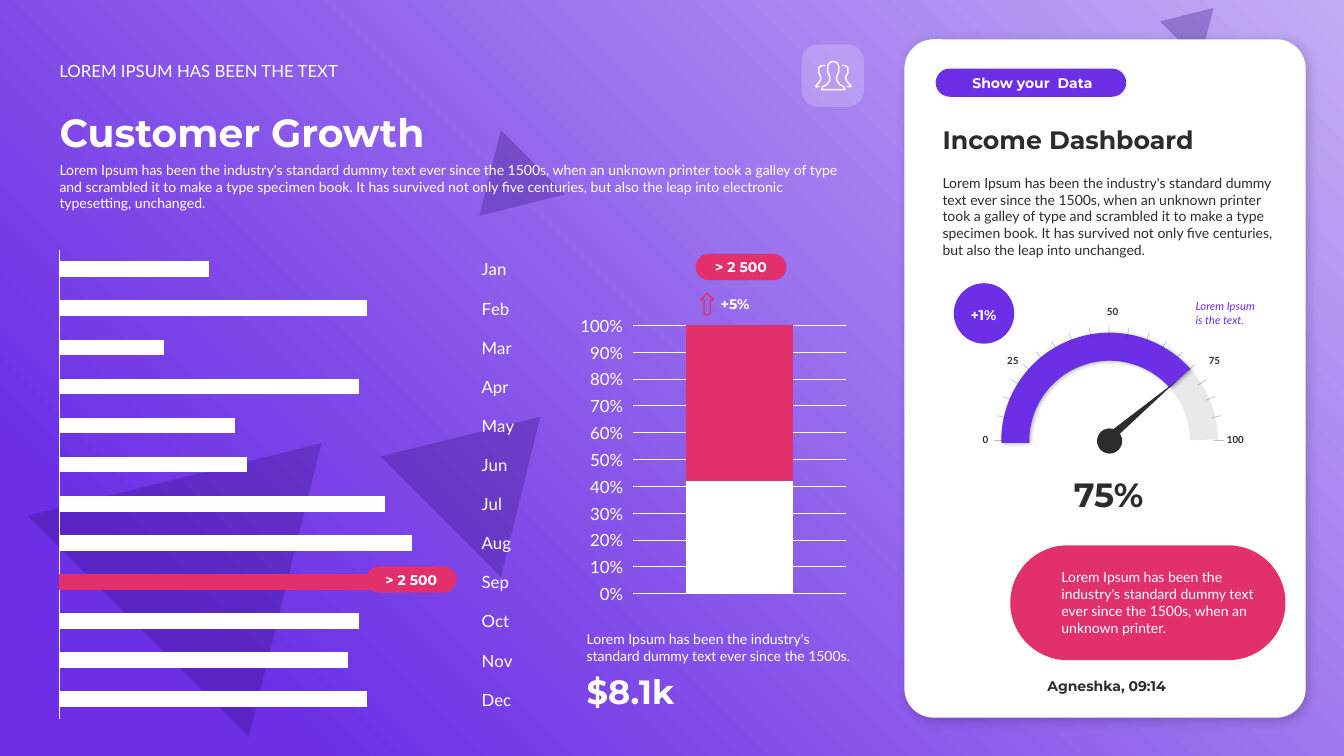
"""Build the customer growth and income dashboard slide."""
from dataclasses import dataclass
from math import cos, radians, sin
from typing import Optional

from lxml import etree
from pptx import Presentation
from pptx import util as u
from pptx.chart import data
from pptx.dml.color import RGBColor
from pptx.enum import chart as ch
from pptx.enum import shapes, text
from pptx.oxml.ns import qn

COLORS = {"white": "FFFFFF", "ink": "2C2C2C", "violet": "6C2FE5", "lilac": "C4ACF5",
          "deep": "330F7B", "pink": "E1306C", "grey": "595959", "black": "000000"}
KINDS = shapes.MSO_SHAPE
TOP, MIDDLE, BOTTOM = text.MSO_ANCHOR.TOP, text.MSO_ANCHOR.MIDDLE, text.MSO_ANCHOR.BOTTOM
LEFT, CENTER, RIGHT = text.PP_ALIGN.LEFT, text.PP_ALIGN.CENTER, text.PP_ALIGN.RIGHT
INCOME_COPY = ("Lorem Ipsum has been the industry's standard dummy text ever since the 1500s, "
               "when an unknown printer took a galley of type and scrambled it to make a type "
               "specimen book. It has survived not only five centuries, but also the leap into ")
GROWTH_COPY = INCOME_COPY + "electronic typesetting, unchanged."


@dataclass
class Figure:
    """A preset shape; a stroke replaces the fill."""
    kind: int
    box: tuple
    color: str
    alpha: int = 100
    adjust: tuple = ()
    turn: float = 0
    stroke: float = 0
    shadow: Optional[tuple] = None


@dataclass
class Copy:
    """A piece of text and its look."""
    words: str
    box: tuple
    size: float = 10
    font: str = "Lato"
    color: str = "white"
    anchor: int = TOP
    align: int = LEFT
    bold: bool = False
    italic: bool = False
    inset: float = 0.1


def rgb(name: str) -> RGBColor:
    """Look a colour up by name."""
    return RGBColor.from_string(COLORS[name])


def paint(fill, color: str, alpha: int = 100) -> None:
    """Apply a solid, optionally see-through colour."""
    fill.solid()
    fill.fore_color.rgb = rgb(color)
    if alpha < 100:
        tint = fill._xPr.find(qn("a:solidFill"))[0]
        etree.SubElement(tint, qn("a:alpha"), val=str(alpha * 1000))


def cast_shadow(figure, alpha: int, blur: float, distance: float) -> None:
    """Add a soft shadow towards the lower right."""
    effects = figure._element.spPr.find(qn("a:effectLst"))
    outer = etree.SubElement(effects, qn("a:outerShdw"), blurRad=str(u.Pt(blur)),
                             dist=str(u.Pt(distance)), dir="2700000", algn="tl", rotWithShape="0")
    tint = etree.SubElement(outer, qn("a:srgbClr"), val=COLORS["black"])
    etree.SubElement(tint, qn("a:alpha"), val=str(alpha * 1000))


def draw(slide, spec_: Figure):
    """Draw one preset shape."""
    figure = slide.shapes.add_shape(spec_.kind, *map(u.Inches, spec_.box))
    figure.shadow.inherit = False
    figure.rotation = spec_.turn
    for index, value in enumerate(spec_.adjust):
        figure.adjustments[index] = value
    if spec_.stroke:
        figure.fill.background()
        figure.line.width = u.Pt(spec_.stroke)
        paint(figure.line.fill, spec_.color, spec_.alpha)
    else:
        paint(figure.fill, spec_.color, spec_.alpha)
        figure.line.fill.background()
    if spec_.shadow:
        cast_shadow(figure, *spec_.shadow)
    return figure


def write(holder, copy: Copy) -> None:
    """Set and format the text of a shape, text box or placeholder."""
    holder.left, holder.top, holder.width, holder.height = map(u.Inches, copy.box)
    frame = holder.text_frame
    frame.text = copy.words
    frame.word_wrap, frame.auto_size = True, text.MSO_AUTO_SIZE.NONE
    frame.vertical_anchor = copy.anchor
    frame.margin_left = frame.margin_right = u.Inches(copy.inset)
    frame.margin_top = frame.margin_bottom = u.Inches(0.05)
    line = frame.paragraphs[0]
    line.alignment, line.space_before = copy.align, u.Pt(0)
    font = line.runs[0].font
    font.name, font.size, font.bold, font.italic = copy.font, u.Pt(copy.size), copy.bold, copy.italic
    font.color.rgb = rgb(copy.color)


def heading(words: str, box: tuple, size: float = 10, color: str = "white",
            anchor: int = BOTTOM, align: int = LEFT, inset: float = 0.1) -> Copy:
    """Describe bold Montserrat text."""
    return Copy(words, box, size, "Montserrat", color, anchor, align, True, inset=inset)


def draw_outline(slide, points: list, closed: bool) -> None:
    """Draw a white line through the points."""
    start, *rest = [(u.Inches(x), u.Inches(y)) for x, y in points]
    builder = slide.shapes.build_freeform(*start)
    builder.add_line_segments(rest, close=closed)
    bust = builder.convert_to_shape()
    bust.shadow.inherit = False
    bust.fill.background()
    bust.line.width = u.Pt(1)
    paint(bust.line.fill, "white")


def draw_people(slide) -> None:
    """Draw three busts, symmetric about the middle one."""
    def mirror(points: list) -> list:
        return [(16.53 - x, y) for x, y in points]
    front = [(8.26, .61), (8.23, .62), (8.21, .65), (8.21, .71), (8.23, .76), (8.23, .8),
             (8.2, .84), (8.16, .86), (8.15, .89)]
    side = [(8.18, .65), (8.15, .65), (8.12, .67), (8.12, .72), (8.14, .76), (8.14, .79),
            (8.12, .82), (8.1, .84), (8.09, .86), (8.13, .86)]
    draw_outline(slide, front + mirror(front)[::-1], True)
    draw_outline(slide, side, False)
    draw_outline(slide, mirror(side), False)


def draw_ticks(slide) -> None:
    """Draw the gauge scale around its centre."""
    quarter = (0, 12.5, 22.5, 32, 41.5, 50.5, 60, 69.5, 80)
    for angle in (*quarter, 90, *(180 - a for a in quarter)):
        x, y = cos(radians(angle)), sin(radians(angle))
        ends = (11 - 1.14 * x, 4.37 - 1.14 * y, 11 - 1.04 * x, 4.37 - 1.04 * y)
        tick = slide.shapes.add_connector(shapes.MSO_CONNECTOR.STRAIGHT, *map(u.Inches, ends))
        tick.line.width = u.Pt(0.5)
        paint(tick.line.fill, "ink", 30)
        etree.SubElement(tick._element.spPr, qn("a:effectLst"))


def add_bars(slide, kind: int, box: tuple, months: list, series: list, gap: int, overlap: int,
             area: tuple):
    """Add a bar chart with the plot area at the given fractions."""
    numbers = data.CategoryChartData()
    numbers.categories = months
    for index, (values, _) in enumerate(series, 1):
        numbers.add_series(f"Series {index}", values)
    chart = slide.shapes.add_chart(kind, *map(u.Inches, box), numbers).chart
    chart.has_legend = chart.has_title = False
    chart.font.name, chart.font.size, chart.font.color.rgb = "Lato", u.Pt(12), rgb("white")
    plot = chart.plots[0]
    plot.gap_width, plot.overlap, plot.vary_by_categories = gap, overlap, False
    for bars, (_, color) in zip(plot.series, series):
        paint(bars.format.fill, color)
    plot_area = chart._chartSpace.chart.plotArea
    for old in plot_area.findall(qn("c:layout")):
        plot_area.remove(old)
    layout = etree.Element(qn("c:layout"))
    plot_area.insert(0, layout)
    manual = etree.SubElement(layout, qn("c:manualLayout"))
    settings = [("layoutTarget", "inner"), ("xMode", "edge"), ("yMode", "edge"), *zip("xywh", area)]
    for tag, value in settings:
        etree.SubElement(manual, qn(f"c:{tag}"), val=str(value))
    return chart


def add_charts(slide) -> None:
    """Add the monthly bars and the stacked share column."""
    months = "Jan Feb Mar Apr May Jun Jul Aug Sep Oct Nov Dec".split()
    growth = (40, 82, 28, 80, 47, 50, 87, 94, 100, 80, 77, 82)
    monthly = add_bars(slide, ch.XL_CHART_TYPE.BAR_CLUSTERED, (0.49, 2.38, 4.76, 4.85), months,
                       [(growth, "white")], 150, -25, (0.02, 0.02, 0.86, 0.96))
    paint(monthly.plots[0].series[0].points[8].format.fill, "pink")
    axis = monthly.category_axis
    axis.reverse_order, axis.tick_label_position = True, ch.XL_TICK_LABEL_POSITION.HIGH
    axis.major_tick_mark = ch.XL_TICK_MARK.NONE
    axis.format.line.width = u.Pt(0.75)
    paint(axis.format.line.fill, "white")
    scale = monthly.value_axis
    scale.visible = scale.has_major_gridlines = False
    scale.minimum_scale, scale.maximum_scale = 0, 110
    share = add_bars(slide, ch.XL_CHART_TYPE.COLUMN_STACKED_100, (5.7, 3.05, 2.75, 2.99), ["1"],
                     [((42,), "white"), ((58,), "pink")], 100, 100, (0.21, 0.06, 0.77, 0.89))
    share.category_axis.visible = False
    scale = share.value_axis
    scale.tick_labels.number_format, scale.tick_labels.number_format_is_linked = "0%", False
    scale.format.line.fill.background()
    scale.major_gridlines.format.line.width = u.Pt(0.75)
    paint(scale.major_gridlines.format.line.fill, "white")


def draw_backdrop(slide) -> None:
    """Draw the gradient that spreads from the upper right corner."""
    backdrop = draw(slide, Figure(KINDS.RECTANGLE, (0, 0, 13.33, 7.5), "violet"))
    backdrop.fill.gradient()
    for stop, color, place in zip(backdrop.fill.gradient_stops, ("lilac", "violet"), (0, 0.85)):
        stop.color.rgb, stop.position = rgb(color), place
    gradient = backdrop._element.spPr.find(qn("a:gradFill"))
    gradient.remove(gradient.find(qn("a:lin")))
    spread = etree.SubElement(gradient, qn("a:path"), {"path": "circle"})
    etree.SubElement(spread, qn("a:fillToRect"), l="100000", b="100000")


def main() -> None:
    """Build and save the slide."""
    deck = Presentation()
    deck.slide_width, deck.slide_height = u.Inches(13.33), u.Inches(7.5)
    slide = deck.slides.add_slide(deck.slide_layouts[1])
    title, intro = slide.placeholders
    draw_backdrop(slide)
    for box, turn in (((0.73, 4.02, 3.1, 2.57), 45), ((4.02, 3.93, 1.69, 1.4), 45),
                      ((4.57, 1.5, 0.9, 0.75), 225), ((11.59, 0.01, 0.56, 0.47), 45)):
        draw(slide, Figure(KINDS.ISOSCELES_TRIANGLE, box, "deep", 30, turn=turn))
    rounded, gauge = KINDS.ROUNDED_RECTANGLE, (10.07, 3.44, 1.87, 1.87)
    draw(slide, Figure(rounded, (8.97, 0.39, 3.98, 6.73), "white", adjust=(0.073,), shadow=(20, 8, 3)))
    for holder in (title, intro):
        slide.shapes._spTree.append(holder._element)
    write(title, heading("Customer Growth", (0.49, 1.02, 8.08, 0.57), 28))
    write(intro, Copy(GROWTH_COPY, (0.49, 1.55, 8.08, 0.61)))
    bullet = intro.text_frame.paragraphs[0]._p.get_or_add_pPr()
    bullet.set("marL", "0")
    bullet.set("indent", "0")
    etree.SubElement(bullet, qn("a:buNone"))
    add_charts(slide)
    for figure in (
            Figure(rounded, (7.95, 0.44, 0.62, 0.62), "white", 20, (0.265,)),
            Figure(KINDS.UP_ARROW, (6.95, 2.91, 0.13, 0.21), "pink", stroke=1),
            Figure(rounded, (9.28, 0.68, 1.89, 0.28), "violet", adjust=(0.5,)),
            Figure(KINDS.ARC, gauge, "ink", 10, (108.1, 215.58), stroke=20),
            Figure(KINDS.OVAL, (10.88, 4.25, 0.25, 0.25), "ink"),
            Figure(KINDS.ARC, gauge, "violet", 100, (107.34, 191.03), stroke=20, shadow=(30, 3, 1)),
            Figure(KINDS.ISOSCELES_TRIANGLE, (11.32, 3.63, 0.08, 0.82), "ink", turn=49.8),
            Figure(KINDS.OVAL, (9.46, 2.81, 0.6, 0.6), "violet"),
            Figure(rounded, (10.02, 5.41, 2.73, 1.14), "pink", adjust=(0.5,))):
        draw(slide, figure)
    draw_people(slide)
    draw_ticks(slide)
    for box in ((6.9, 2.52, 0.9, 0.26), (3.63, 5.62, 0.9, 0.26)):
        badge = draw(slide, Figure(rounded, box, "pink", adjust=(0.5,)))
        write(badge, heading("> 2 500", box, anchor=MIDDLE, align=CENTER, inset=0))
    marks = [("0", (9.56, 4.22, 0.34, 0.28), RIGHT), ("25", (9.79, 3.44, 0.41, 0.28), RIGHT),
             ("50", (10.78, 2.95, 0.41, 0.28), RIGHT), ("75", (11.89, 3.44, 0.41, 0.28), LEFT),
             ("100", (12.07, 4.22, 0.59, 0.28), LEFT)]
    for copy in (
            Copy("LOREM IPSUM HAS BEEN THE TEXT", (0.49, 0.55, 8.08, 0.3), 12, anchor=BOTTOM),
            heading("$8.1k", (5.72, 6.61, 2.91, 0.5), 24),
            Copy("Lorem Ipsum has been the industry's standard dummy text ever since the 1500s.",
                 (5.72, 6.2, 2.91, 0.44), anchor=BOTTOM),
            heading("+5%", (7.08, 2.88, 0.42, 0.27), anchor=TOP, align=CENTER, inset=0),
            Copy(INCOME_COPY + "unchanged.", (9.25, 1.68, 3.5, 0.94), color="ink"),
            heading("Income Dashboard", (9.25, 1.18, 3.5, 0.4), 18, "ink"),
            heading("Show your  Data", (9.37, 0.69, 1.74, 0.27), anchor=MIDDLE, align=CENTER),
            *(Copy(mark, box, 7, color="ink", anchor=MIDDLE, align=align, bold=True)
              for mark, box, align in marks),
            heading("+1%", (9.51, 2.99, 0.49, 0.27), anchor=MIDDLE, align=CENTER, inset=0),
            Copy("Lorem Ipsum is the text.", (11.76, 2.92, 0.87, 0.37), 8, color="violet",
                 anchor=MIDDLE, italic=True),
            heading("75%", (9.8, 4.65, 2.39, 0.5), 24, "ink", align=CENTER),
            Copy("Lorem Ipsum has been the industry's standard dummy text ever since the 1500s, "
                 "when an unknown printer.", (10.43, 5.59, 2.13, 0.77), anchor=MIDDLE),
            heading("Agneshka, 09:14", (10.29, 6.67, 2.28, 0.27), color="ink")):
        write(slide.shapes.add_textbox(0, 0, 0, 0), copy)
    deck.save("out.pptx")


if __name__ == "__main__":
    main()
